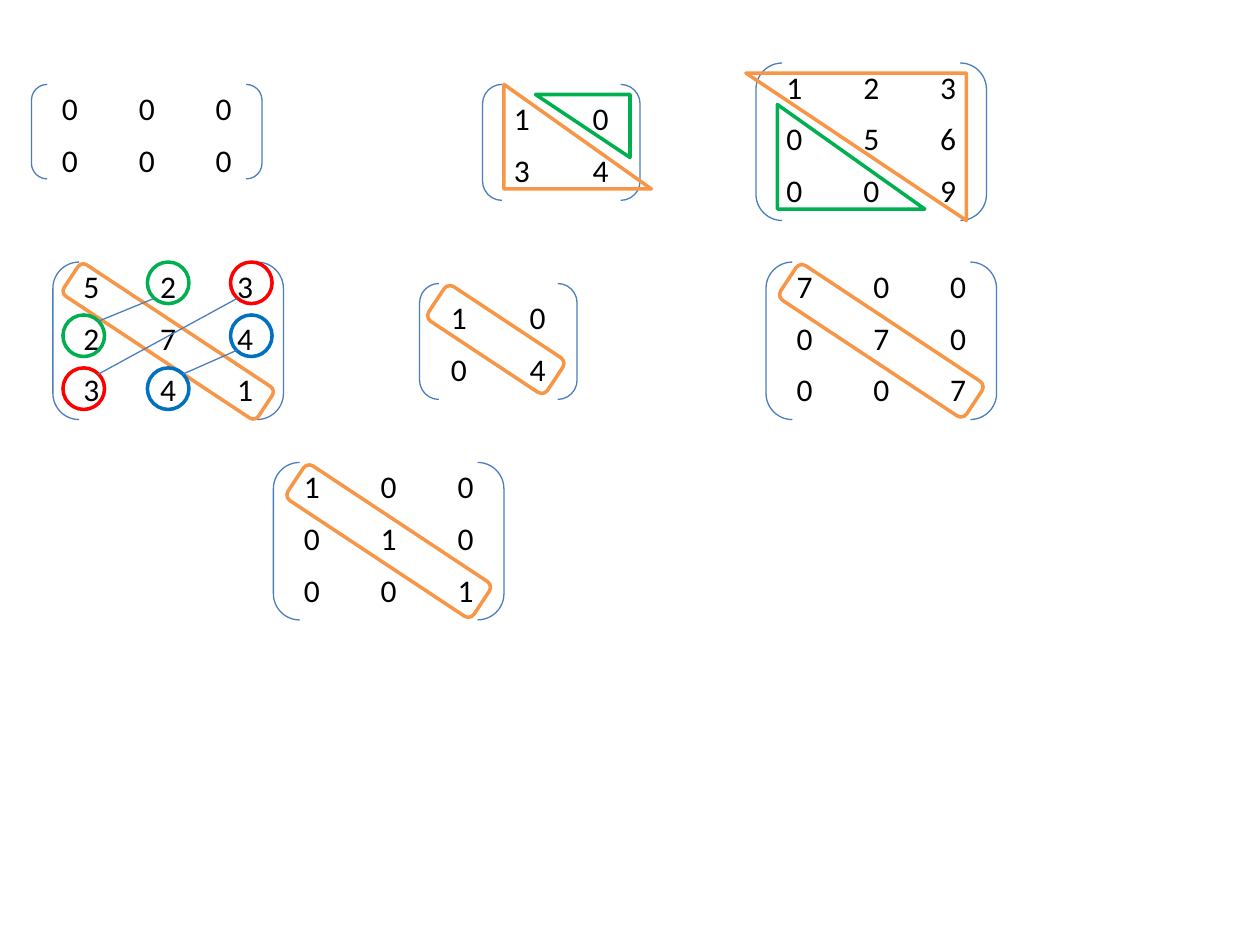
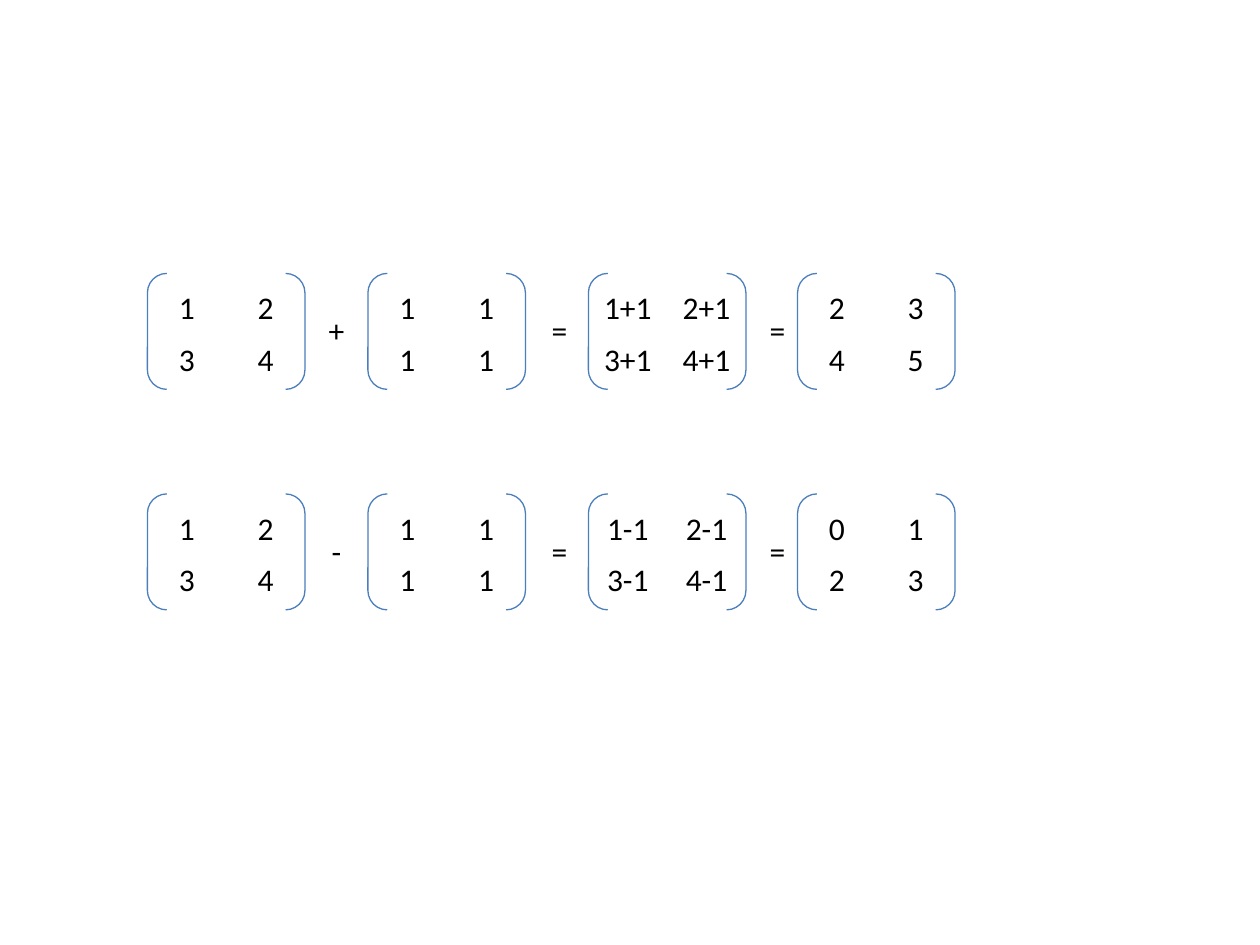
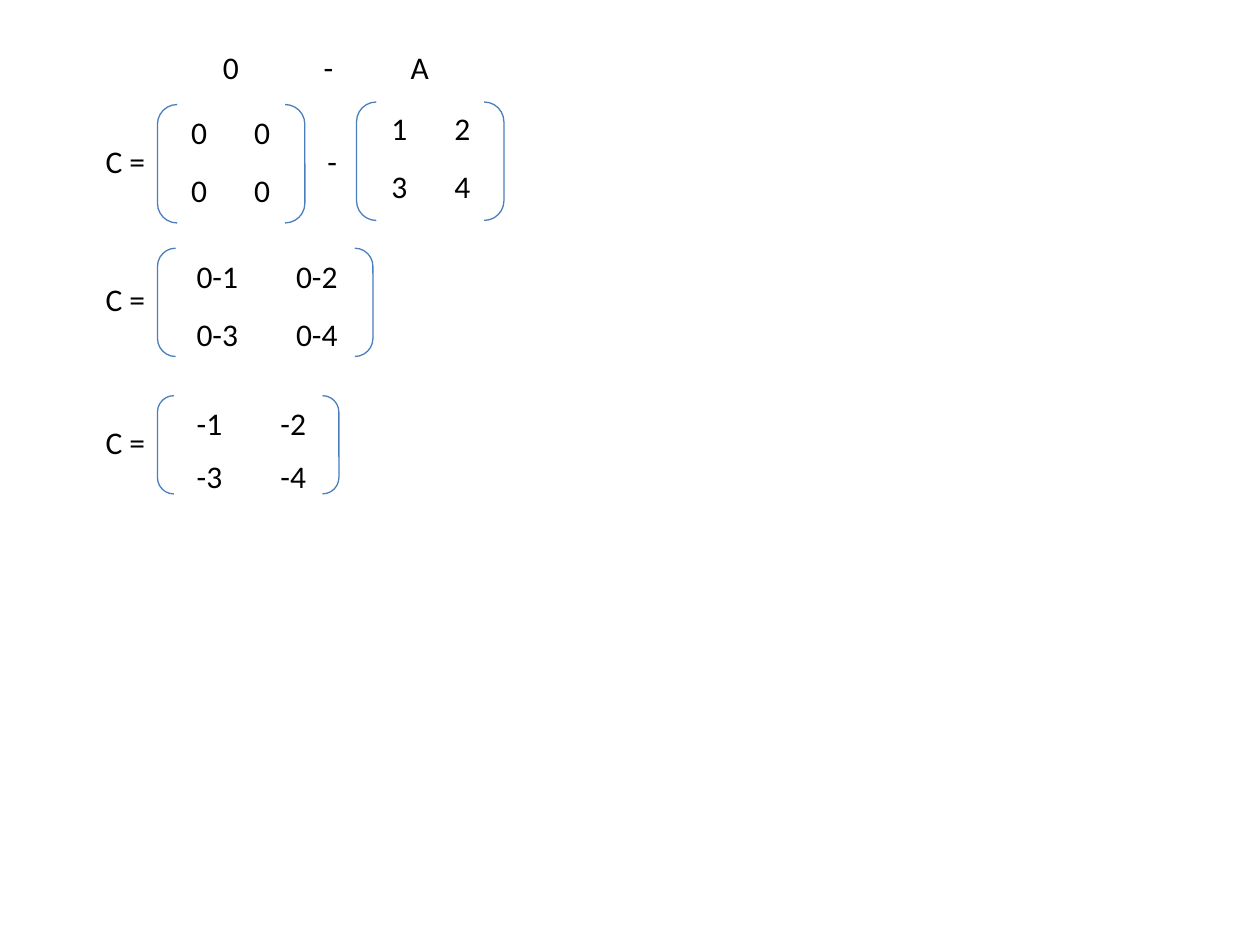
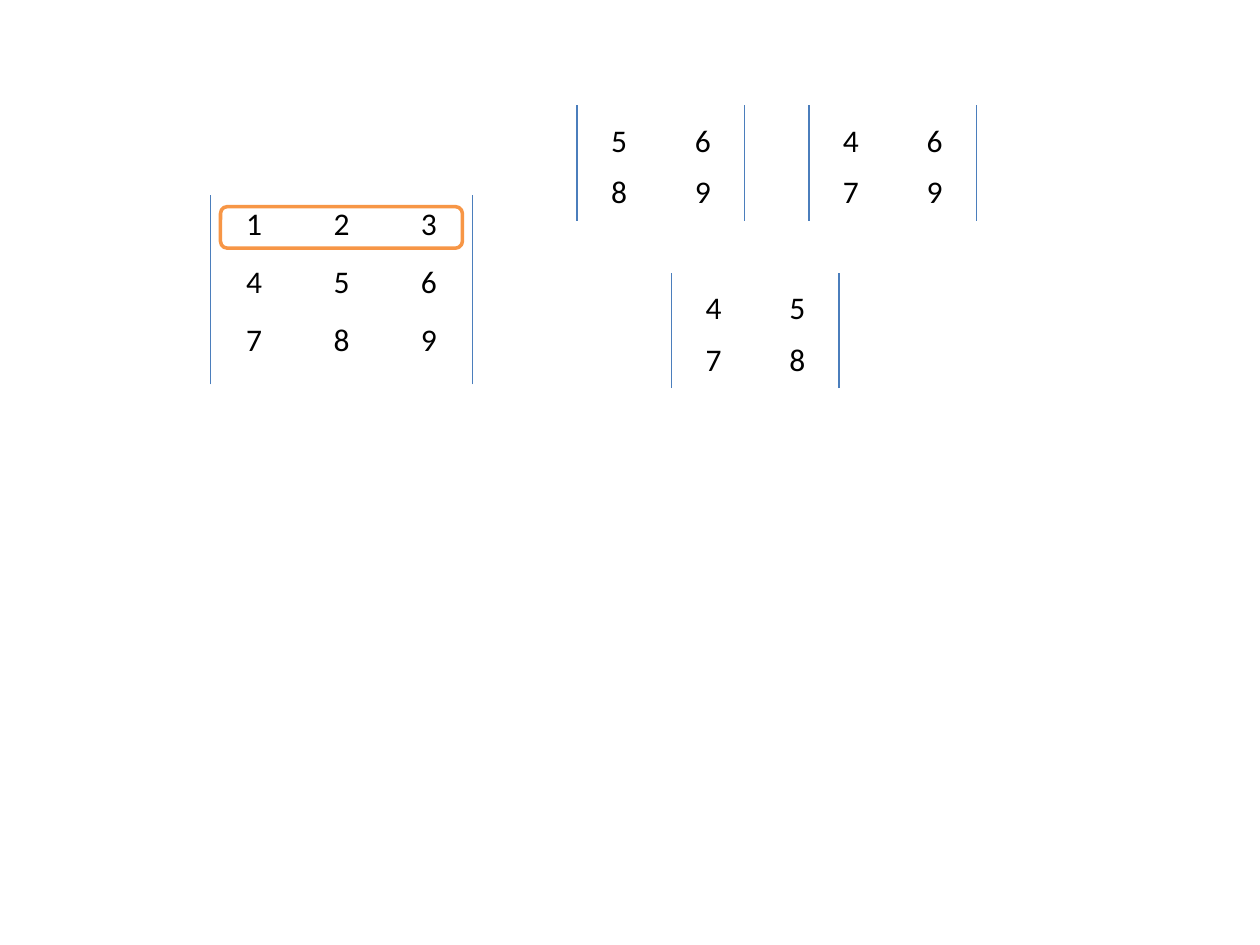
"""Build four slides of matrix types, matrix sums and determinants."""
from lxml import etree
from pptx import Presentation
from pptx.dml.color import RGBColor
from pptx.enum.shapes import MSO_CONNECTOR, MSO_SHAPE as SHAPE
from pptx.enum.text import MSO_AUTO_SIZE, PP_ALIGN as ALIGN
from pptx.oxml.ns import qn
from pptx.util import Inches, Pt

FONT = "Calibri"
SIZE = Pt(18)
COLORS = {
    "text": "000000",
    "bracket": "4B7EBC",
    "orange": "F79646",
    "green": "00B050",
    "blue": "0070C0",
    "red": "FF0000",
}
RGB = {name: RGBColor.from_string(value) for name, value in COLORS.items()}


def outline(s, kind, box, color, width=2, rotation=0):
    sp = s.shapes.add_shape(kind, *[Inches(v) for v in box])
    sp.shadow.inherit = False
    sp.fill.background()
    sp.line.color.rgb = RGB[color]
    sp.line.width = Pt(width)
    sp.rotation = rotation


def matrix(s, x, y, w, row_h, values, bracket=None):
    rows = [row.split() for row in values.split("/")]
    table = s.shapes.add_table(
        len(rows), len(rows[0]), Inches(x), Inches(y), Inches(w), Inches(row_h * len(rows))
    ).table
    table.first_row = table.horz_banding = False
    for i, row in enumerate(rows):
        for j, value in enumerate(row):
            cell = table.cell(i, j)
            cell.fill.background()
            cell.text = value
            p = cell.text_frame.paragraphs[0]
            p.alignment = ALIGN.CENTER
            p.font.name, p.font.size = FONT, SIZE
            p.font.color.rgb = RGB["text"]
    if bracket:
        outline(s, SHAPE.DOUBLE_BRACKET, bracket, "bracket", 0.75)


prs = Presentation()
prs.slide_width, prs.slide_height = Inches(10), Inches(7.5)
types, sums, opposite, minors = [prs.slides.add_slide(prs.slide_layouts[6]) for _ in range(4)]
labels, lines = [], []

for x, y, pad, w, h, values in [
    (3.83, 0.67, 0.08, 1.25, 0.92, "1 0/3 4"),
    (0.25, 0.67, 0, 1.83, 0.75, "0 0 0/0 0 0"),
    (0.42, 2.08, 0, 1.83, 1.25, "5 2 3/2 7 4/3 4 1"),
    (6, 0.5, 0, 1.83, 1.25, "1 2 3/0 5 6/0 0 9"),
    (3.33, 2.25, 0.08, 1.25, 0.92, "1 0/0 4"),
    (6.08, 2.08, 0, 1.83, 1.25, "7 0 0/0 7 0/0 0 7"),
    (2.17, 3.67, 0, 1.83, 1.25, "1 0 0/0 1 0/0 0 1"),
]:
    matrix(types, x, y + pad, w, 0.41, values, (x, y, w, h))

for box, color, rotation in [
    ((4, 0.67, 1.17, 0.83), "orange", 0),
    ((4.25, 0.75, 0.75, 0.5), "green", 180),
    ((6.17, 0.83, 1.17, 0.83), "green", 0),
    ((5.92, 0.58, 1.75, 1.17), "orange", 180),
]:
    outline(types, SHAPE.RIGHT_TRIANGLE, box, color, rotation=rotation)

for box in [
    (0.41, 2.56, 1.85, 0.3),
    (3.37, 2.53, 1.13, 0.33),
    (6.11, 2.54, 1.77, 0.33),
    (2.2, 4.13, 1.77, 0.33),
]:
    outline(types, SHAPE.ROUNDED_RECTANGLE, box, "orange", rotation=33.5)

for x, y, color in [
    (1.17, 2.08, "green"),
    (0.5, 2.5, "green"),
    (1.17, 2.92, "blue"),
    (1.83, 2.5, "blue"),
    (0.5, 2.92, "red"),
    (1.83, 2.08, "red"),
]:
    outline(types, SHAPE.OVAL, (x, y, 0.33, 0.33), color)

lines += [
    (types, 0.78, 2.55, 1.22, 2.37),
    (types, 0.78, 2.97, 1.88, 2.37),
    (types, 1.45, 2.97, 1.88, 2.78),
]

for y, sign, matrices in [
    (2.17, "+", ["1 2/3 4", "1 1/1 1", "1+1 2+1/3+1 4+1", "2 3/4 5"]),
    (3.92, "-", ["1 2/3 4", "1 1/1 1", "1-1 2-1/3-1 4-1", "0 1/2 3"]),
]:
    for x, values in zip([1.17, 2.92, 4.67, 6.33], matrices):
        matrix(sums, x, y + 0.08, 1.25, 0.41, values, (x, y, 1.25, 0.92))
    for x, text in [(2.42, sign), (4.19, "="), (5.92, "=")]:
        labels.append((sums, text, x, y + 0.25, 0.5, ALIGN.CENTER))

for x, y, w, row_h, values, bracket in [
    (2.92, 0.83, 1, 0.46, "1 2/3 4", (2.83, 0.81, 1.17, 0.94)),
    (1.33, 2, 1.58, 0.46, "0-1 0-2/0-3 0-4", (1.25, 1.97, 1.71, 0.86)),
    (1.33, 3.17, 1.33, 0.42, "-1 -2/-3 -4", (1.25, 3.14, 1.44, 0.78)),
    (1.33, 0.86, 1, 0.46, "0 0/0 0", (1.25, 0.83, 1.17, 0.94)),
]:
    matrix(opposite, x, y, w, row_h, values, bracket)
for y in (1.08, 2.17, 3.31):
    labels.append((opposite, "C =", 0.58, y, 0.67, ALIGN.RIGHT))
labels += [
    (opposite, "-", 2.5, 1.08, 0.25, ALIGN.CENTER),
    (opposite, "0\t-\tA", 1.67, 0.33, 2.08, ALIGN.LEFT),
]

for x, y, w, row_h, values, top, bottom in [
    (1.67, 1.58, 2.08, 0.46, "1 2 3/4 5 6/7 8 9", 1.55, 3.05),
    (4.58, 0.92, 1.33, 0.41, "5 6/8 9", 0.83, 1.75),
    (6.42, 0.92, 1.33, 0.41, "4 6/7 9", 0.83, 1.75),
    (5.33, 2.25, 1.33, 0.41, "4 5/7 8", 2.17, 3.08),
]:
    matrix(minors, x, y, w, row_h, values)
    lines += [(minors, side, bottom, side, top) for side in (x, x + w)]
outline(minors, SHAPE.ROUNDED_RECTANGLE, (1.75, 1.64, 1.92, 0.33), "orange")

for s, text, x, y, w, align in labels:
    tf = s.shapes.add_textbox(Inches(x), Inches(y), Inches(w), Inches(0.4)).text_frame
    tf.word_wrap = True
    tf.auto_size = MSO_AUTO_SIZE.SHAPE_TO_FIT_TEXT
    tf.text = text
    p = tf.paragraphs[0]
    p.alignment = align
    if "\t" in text:
        tabs = etree.SubElement(p._p.get_or_add_pPr(), qn("a:tabLst"))
        for stop in (0.8, 1.49):
            etree.SubElement(tabs, qn("a:tab"), pos=str(Inches(stop)), algn="l")
    p.font.name, p.font.size = FONT, SIZE
    p.font.color.rgb = RGB["text"]

for s, *ends in lines:
    line = s.shapes.add_connector(MSO_CONNECTOR.STRAIGHT, *[Inches(v) for v in ends])
    line.line.color.rgb = RGB["bracket"]
    line.line.width = Pt(0.75)
    etree.SubElement(line._element.spPr, qn("a:effectLst"))

prs.save("out.pptx")
